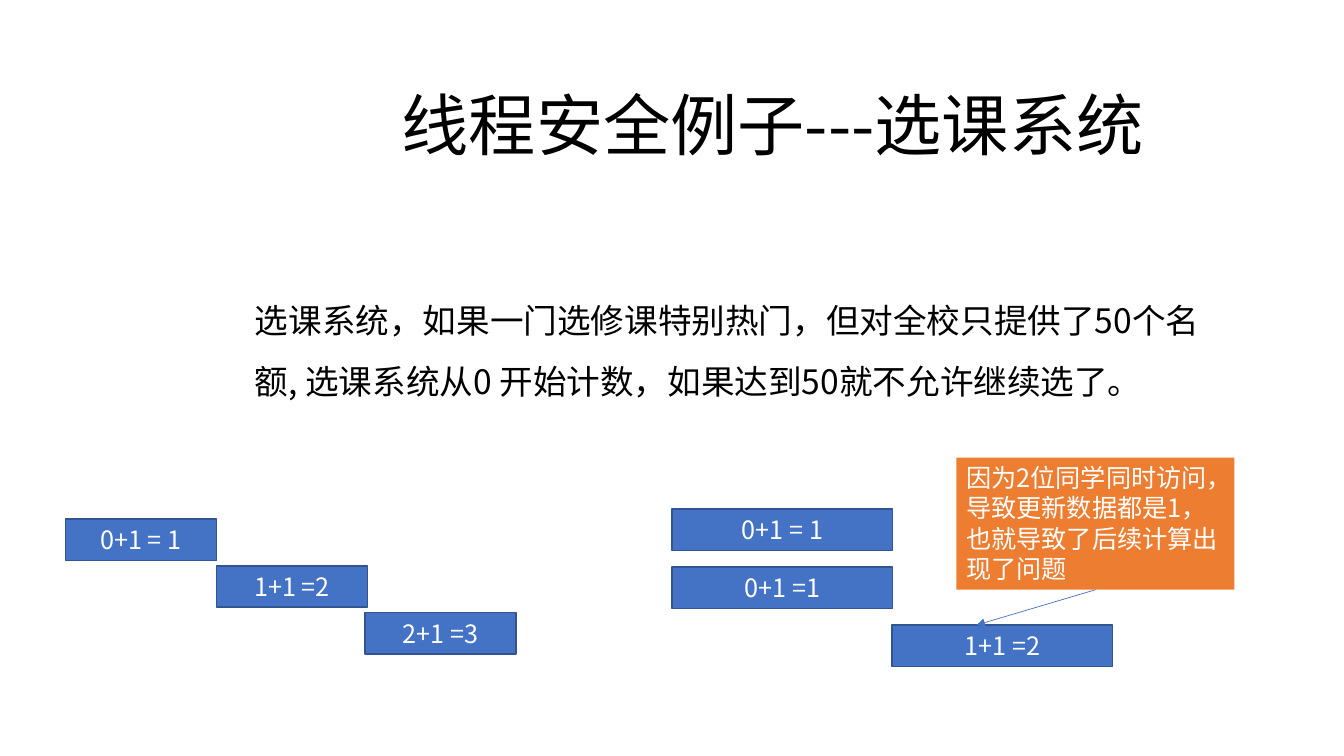
from lxml import etree
from pptx import Presentation
from pptx.dml.color import RGBColor
from pptx.enum.shapes import MSO_CONNECTOR, MSO_SHAPE
from pptx.enum.text import MSO_ANCHOR, MSO_AUTO_SIZE, PP_ALIGN
from pptx.oxml.ns import qn
from pptx.util import Cm, Pt

RECTANGLE = MSO_SHAPE.RECTANGLE
STRAIGHT = MSO_CONNECTOR.STRAIGHT
TOP, MIDDLE = MSO_ANCHOR.TOP, MSO_ANCHOR.MIDDLE
NO_AUTO_SIZE = MSO_AUTO_SIZE.NONE
LEFT, CENTER = PP_ALIGN.LEFT, PP_ALIGN.CENTER

FONT_NAME = "Noto Sans CJK SC"
BLACK = RGBColor(0x00, 0x00, 0x00)
WHITE = RGBColor(0xFF, 0xFF, 0xFF)
BLUE = RGBColor(0x44, 0x72, 0xC4)
DARK_BLUE = RGBColor(0x32, 0x54, 0x91)
ORANGE = RGBColor(0xED, 0x7D, 0x31)

STEP_HEIGHT = 1.04


def write_text(shape, text, size=18, color=WHITE, align=LEFT, anchor=TOP,
               line_spacing=1.0):
    frame = shape.text_frame
    frame.word_wrap = True
    frame.auto_size = NO_AUTO_SIZE
    frame.vertical_anchor = anchor
    paragraph = frame.paragraphs[0]
    paragraph.alignment = align
    paragraph.line_spacing = line_spacing
    paragraph.space_before = Pt(0)
    run = paragraph.add_run()
    run.text = text
    run.font.size = Pt(size)
    run.font.color.rgb = color
    run.font.name = FONT_NAME
    east_asian = etree.SubElement(run.font._element, qn("a:ea"))
    east_asian.set("typeface", FONT_NAME)
    return paragraph


def place(shape, left, top, width, height):
    shape.left, shape.top = Cm(left), Cm(top)
    shape.width, shape.height = Cm(width), Cm(height)


def remove_bullet(paragraph):
    properties = paragraph._p.get_or_add_pPr()
    properties.set("marL", "0")
    properties.set("indent", "0")
    etree.SubElement(properties, qn("a:buNone"))


def add_box(slide, left, top, width, height, fill, line=None):
    box = slide.shapes.add_shape(RECTANGLE, Cm(left), Cm(top), Cm(width), Cm(height))
    box.shadow.inherit = False
    box.fill.solid()
    box.fill.fore_color.rgb = fill
    if line is None:
        box.line.fill.background()
    else:
        box.line.color.rgb = line
        box.line.width = Pt(1)
    return box


def add_steps(slide, labels, lefts, top, pitch, width):
    """Stack counting steps downwards, one box for each label."""
    for index, (label, left) in enumerate(zip(labels, lefts)):
        box = add_box(slide, left, top + index * pitch, width, STEP_HEIGHT,
                      BLUE, line=DARK_BLUE)
        write_text(box, label, align=CENTER, anchor=MIDDLE)


def add_arrow(slide, start_x, start_y, end_x, end_y):
    arrow = slide.shapes.add_connector(
        STRAIGHT, Cm(start_x), Cm(start_y), Cm(end_x), Cm(end_y))
    arrow.line.color.rgb = BLUE
    arrow.line.width = Pt(0.5)
    etree.SubElement(arrow.line._get_or_add_ln(), qn("a:tailEnd"), type="triangle")
    etree.SubElement(arrow._element.spPr, qn("a:effectLst"))


def main():
    presentation = Presentation()
    presentation.slide_width = Cm(33.87)
    presentation.slide_height = Cm(19.05)
    slide = presentation.slides.add_slide(presentation.slide_layouts[1])

    title, body = slide.placeholders
    place(title, 5.82, 1.96, 27.3, 2.31)
    write_text(title, "线程安全例子---选课系统", size=48, color=BLACK, align=CENTER)
    place(body, 6.17, 6.93, 24.94, 3.15)
    introduction = write_text(
        body,
        "选课系统，如果一门选修课特别热门，但对全校只提供了50个名额, "
        "选课系统从0 开始计数，如果达到50就不允许继续选了。",
        size=24, color=BLACK, line_spacing=1.5)
    remove_bullet(introduction)

    add_steps(slide, ["0+1 = 1", "1+1 =2", "2+1 =3"], [1.65, 5.46, 9.2],
              top=13.08, pitch=1.18, width=3.81)
    add_steps(slide, ["0+1 = 1", "0+1 =1", "1+1 =2"], [16.94, 16.94, 22.48],
              top=12.83, pitch=1.46, width=5.56)

    callout = add_box(slide, 24.1, 11.53, 7.01, 3.33, ORANGE)
    write_text(callout, "因为2位同学同时访问，导致更新数据都是1，也就导致了后续计算出现了问题")
    add_arrow(slide, 27.61, 14.86, 24.61, 15.75)

    presentation.save("out.pptx")


if __name__ == "__main__":
    main()
